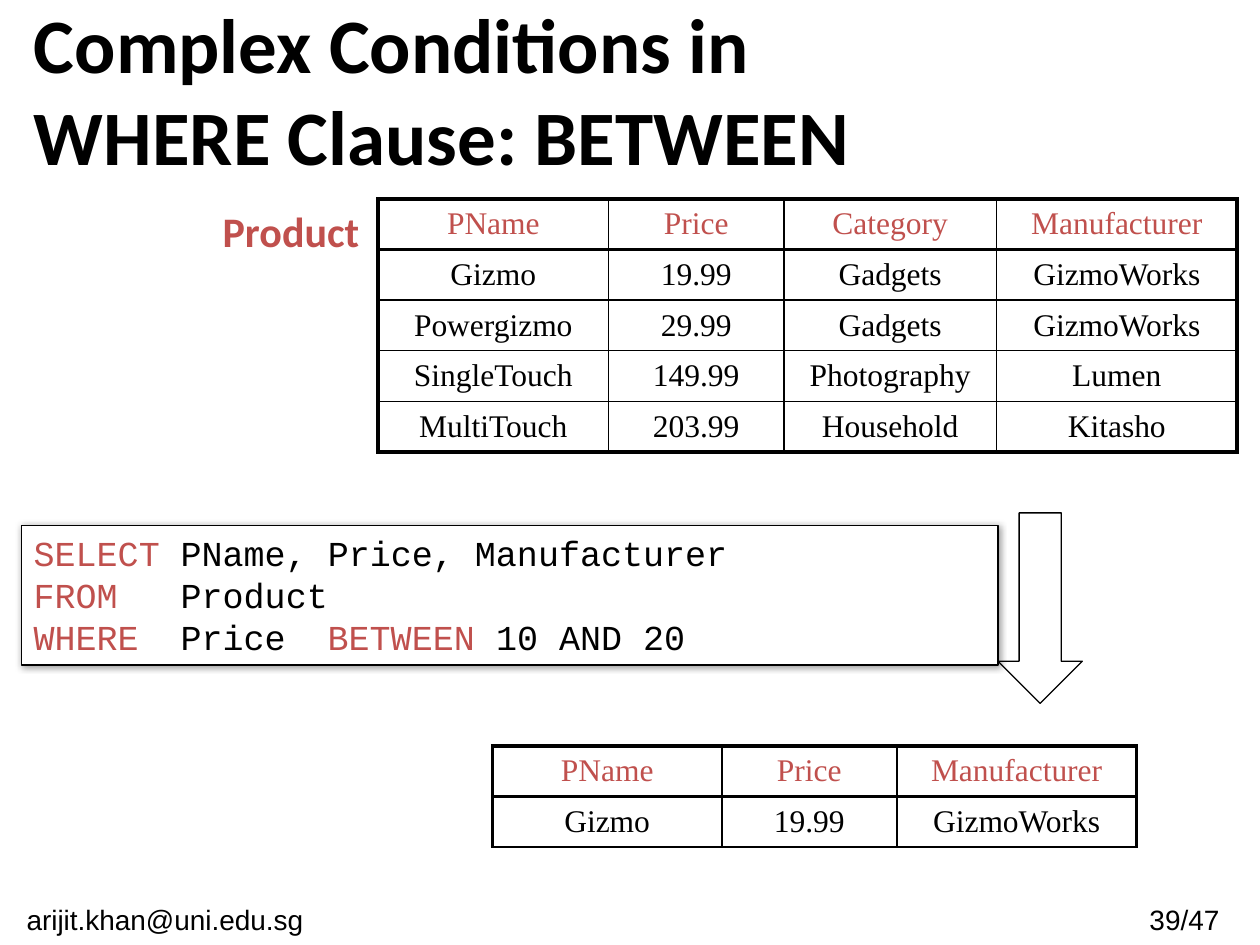
"""Build a slide on the SQL BETWEEN condition with its tables and query."""
from dataclasses import dataclass

from pptx import Presentation
from pptx.dml.color import RGBColor as Rgb
from pptx.enum.shapes import MSO_SHAPE as Kind
from pptx.enum.text import MSO_ANCHOR as Anchor, MSO_AUTO_SIZE as Fit, PP_ALIGN as Align
from pptx.oxml import parse_xml
from pptx.oxml.ns import nsdecls, qn
from pptx.util import Cm, Pt


@dataclass(frozen=True)
class Theme:
    ink: str = "000000"
    red: str = "C0504D"
    paper: str = "FFFFFF"
    title: tuple = ("Calibri", 44, True)
    label: tuple = ("Calibri", 24, True)
    cell: tuple = ("Times New Roman", 18, False)
    code: tuple = ("Courier New", 20, False)
    foot: tuple = ("Arial", 16, False)
    thin: float = 1
    thick: float = 2.25
    edge: float = 0.75


look = Theme()


def write(para, text, style, color=look.ink):
    run = para.add_run()
    run.text = text
    font = run.font
    font.name, size, font.bold = style
    font.size = Pt(size)
    font.color.rgb = Rgb.from_string(color)


def draw_grid(slide, left, top, widths, height, rows, base):
    last = len(rows) - 1, len(widths) - 1
    frame = slide.shapes.add_table(len(rows), len(widths), Cm(left), Cm(top),
                                   Cm(sum(widths)), Cm(height * len(rows)))
    grid = frame.table
    grid.first_row = grid.horz_banding = False
    for col, width in zip(grid.columns, widths):
        col.width = Cm(width)
    for i, row in enumerate(rows):
        grid.rows[i].height = Cm(height)
        for j, text in enumerate(row):
            cell = grid.cell(i, j)
            cell.vertical_anchor = Anchor.MIDDLE
            para = cell.text_frame.paragraphs[0]
            para.alignment = Align.CENTER
            write(para, text, look.cell, look.ink if i else look.red)
            sides = {
                "L": look.thin if j else look.thick,
                "R": look.thick if j == last[1] else look.thin,
                "T": look.thick if i < 2 else look.thin,
                "B": look.thick if i == 0 else base if i == last[0] else look.thin,
            }
            props = cell._tc.get_or_add_tcPr()
            for side, size in sides.items():
                props.append(parse_xml(
                    f'<a:ln{side} {nsdecls("a")} w="{Pt(size)}"><a:solidFill>'
                    f'<a:srgbClr val="{look.ink}"/></a:solidFill></a:ln{side}>'))
            cell.fill.background()


deck = Presentation()
deck.slide_width, deck.slide_height = Cm(25.4), Cm(19.05)
slide = deck.slides.add_slide(deck.slide_layouts[5])
shapes = slide.shapes

title = shapes.title
title.left, title.top, title.width, title.height = Cm(0.43), Cm(0.84), Cm(22.86), Cm(1.9)
body = title.text_frame
body.auto_size = Fit.NONE
body.vertical_anchor = Anchor.MIDDLE
para = body.paragraphs[0]
para.alignment = Align.LEFT
write(para, "Complex Conditions in ", look.title)
para.add_line_break()
write(para, "WHERE Clause: BETWEEN", look.title)

for left, width, text in [(22.48, 2.95, "39/47 "), (0, 6.81, "arijit.khan@uni.edu.sg ")]:
    foot = shapes.add_textbox(Cm(left), Cm(18.06), Cm(width), Cm(0.99))
    foot.text_frame.word_wrap = True
    para = foot.text_frame.paragraphs[0]
    para.alignment = Align.CENTER
    write(para, text, look.foot)

goods = [
    ("PName", "Price", "Category", "Manufacturer"),
    ("Gizmo", "19.99", "Gadgets", "GizmoWorks"),
    ("Powergizmo", "29.99", "Gadgets", "GizmoWorks"),
    ("SingleTouch", "149.99", "Photography", "Lumen"),
    ("MultiTouch", "203.99", "Household", "Kitasho"),
]
found = [(name, price, maker) for name, price, _, maker in goods[:2]]
draw_grid(slide, 7.62, 4.01, [4.65, 3.53, 4.29, 4.85], 1.02, goods, look.thick)

arrow = shapes.add_shape(Kind.DOWN_ARROW, Cm(20.12), Cm(10.34), Cm(1.7), Cm(3.84))
arrow.shadow.inherit = False
arrow.fill.background()
arrow.line.color.rgb = Rgb.from_string(look.ink)
arrow.line.width = Pt(look.edge)

draw_grid(slide, 9.93, 15.04, [4.62, 3.53, 4.83], 0.86, found, look.thin)

box = shapes.add_shape(Kind.RECTANGLE, Cm(0.43), Cm(10.59), Cm(19.69), Cm(2.82))
box.fill.solid()
box.fill.fore_color.rgb = Rgb.from_string(look.paper)
box.line.color.rgb = Rgb.from_string(look.ink)
box.line.width = Pt(look.edge)
box.shadow.inherit = False
box._element.spPr.find(qn("a:effectLst")).append(parse_xml(
    f'<a:outerShdw {nsdecls("a")} blurRad="{Pt(4)}" dist="{Pt(1)}" dir="2700000" '
    f'algn="tl" rotWithShape="0"><a:srgbClr val="{look.ink}">'
    '<a:alpha val="40000"/></a:srgbClr></a:outerShdw>'))
body = box.text_frame
body.word_wrap = True
body.auto_size = Fit.SHAPE_TO_FIT_TEXT
body.vertical_anchor = Anchor.TOP
para = body.paragraphs[0]
para.alignment = Align.LEFT
stops = "".join(f'<a:tab pos="{Pt(84 * n)}" algn="l"/>' for n in (1, 2))
para._p.get_or_add_pPr().append(parse_xml(f'<a:tabLst {nsdecls("a")}>{stops}</a:tabLst>'))
query = [
    [("SELECT", look.red), ("\tPName, Price, Manufacturer", look.ink)],
    [("FROM", look.red), ("\tProduct", look.ink)],
    [("WHERE", look.red), ("\tPrice\t", look.ink),
     ("BETWEEN", look.red), (" 10 AND 20", look.ink)],
]
for n, line in enumerate(query):
    if n:
        para.add_line_break()
    for text, color in line:
        write(para, text, look.code, color)

label = shapes.add_textbox(Cm(4.24), Cm(4.01), Cm(3.3), Cm(1.27))
label.text_frame.word_wrap = False
label.text_frame.auto_size = Fit.SHAPE_TO_FIT_TEXT
write(label.text_frame.paragraphs[0], "Product", look.label, look.red)

deck.save("out.pptx")
